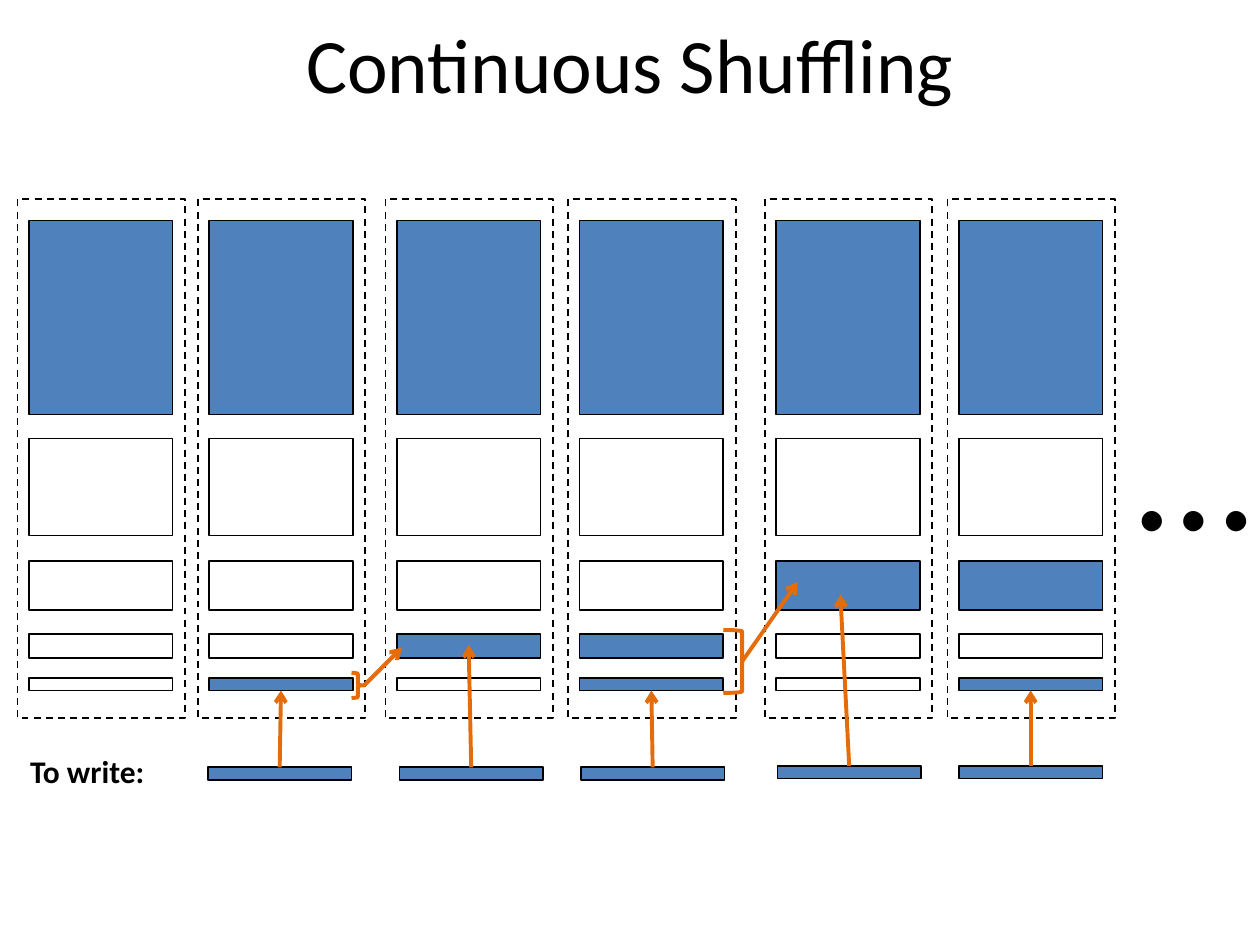
from lxml import etree
from pptx import Presentation
from pptx.dml.color import RGBColor
from pptx.enum.dml import MSO_LINE
from pptx.enum.shapes import MSO_CONNECTOR, MSO_SHAPE
from pptx.enum.text import MSO_ANCHOR, MSO_AUTO_SIZE, PP_ALIGN
from pptx.oxml.ns import qn
from pptx.util import Inches, Pt

BLACK, WHITE, BLUE, ORANGE = "000000", "FFFFFF", "4F81BD", "E46C0A"
TOP, BOTTOM = 0, 2

BLOCK_WIDTH = 1.14
# Top and height of each level, smallest block first
LEVELS = [(5.38, 0.1), (5.03, 0.19), (4.45, 0.39), (3.48, 0.77), (1.75, 1.54)]
# Left edge of each column and the fills of its levels
COLUMNS = [
    (0.14, [None, None, None, None, BLUE]),
    (1.57, [BLUE, None, None, None, BLUE]),
    (3.06, [None, BLUE, None, None, BLUE]),
    (4.51, [BLUE, BLUE, None, None, BLUE]),
    (6.07, [None, WHITE, BLUE, None, BLUE]),
    (7.52, [BLUE, WHITE, BLUE, None, BLUE]),
]
# Left and top of each pending write, for the second column onwards
WRITES = [(1.65, 6.09), (3.17, 6.09), (4.61, 6.09), (6.17, 6.08), (7.61, 6.08)]


def color(hex_value):
    return RGBColor.from_string(hex_value)


def set_all(target, values):
    for name, value in values.items():
        setattr(target, name, value)


class Canvas:
    font_name = "Calibri"

    def __init__(self, slide):
        self.slide = slide

    def style_text(self, frame, text, size, bold, **format_values):
        set_all(frame, format_values)
        paragraph = frame.paragraphs[0]
        paragraph.text = text
        set_all(paragraph.font, {"name": self.font_name, "size": Pt(size), "bold": bold})
        paragraph.font.color.rgb = color(BLACK)
        return paragraph

    def title(self, text, box):
        title = self.slide.shapes.title
        set_all(title, dict(zip(("left", "top", "width", "height"), map(Inches, box))))
        paragraph = self.style_text(title.text_frame, text, 44, False,
                                    vertical_anchor=MSO_ANCHOR.MIDDLE)
        paragraph.alignment = PP_ALIGN.CENTER

    def label(self, text, box, size, bold=False):
        frame = self.slide.shapes.add_textbox(*map(Inches, box)).text_frame
        self.style_text(frame, text, size, bold, word_wrap=False,
                        auto_size=MSO_AUTO_SIZE.SHAPE_TO_FIT_TEXT)

    def group(self):
        return self.slide.shapes.add_group_shape().shapes

    def shape(self, box, fill=None, line=BLACK, width=1, dash=None,
              kind=MSO_SHAPE.RECTANGLE, parent=None):
        parent = self.slide.shapes if parent is None else parent
        shape = parent.add_shape(kind, *map(Inches, box))
        shape.shadow.inherit = False
        if fill:
            shape.fill.solid()
            shape.fill.fore_color.rgb = color(fill)
        else:
            shape.fill.background()
        set_all(shape.line, {"width": Pt(width), "dash_style": dash})
        shape.line.color.rgb = color(line)
        return shape

    def arrow(self, start, end, source=None, target=None, parent=None):
        """Draw an arrow, joined to the top of source and the bottom of target."""
        parent = self.slide.shapes if parent is None else parent
        arrow = parent.add_connector(MSO_CONNECTOR.STRAIGHT, *map(Inches, start + end))
        if source is not None:
            arrow.begin_connect(source, TOP)
        if target is not None:
            arrow.end_connect(target, BOTTOM)
        arrow.line.width = Pt(2.25)
        arrow.line.color.rgb = color(ORANGE)
        line_xml = arrow.line._get_or_add_ln()
        etree.SubElement(line_xml, qn("a:tailEnd"), type="arrow")
        etree.SubElement(arrow._element.spPr, qn("a:effectLst"))

    def column(self, left, fills):
        """Draw a dashed column of levels and return its smallest block."""
        group = self.group()
        self.shape((left, 1.58, 1.33, 4.12), dash=MSO_LINE.DASH, parent=group)
        blocks = [
            self.shape((left + 0.09, top, BLOCK_WIDTH, height), fill, parent=group)
            for (top, height), fill in zip(LEVELS, fills)
        ]
        return blocks[0]

    def merge(self, kind, box, target, write, write_start, write_end):
        """Draw the bracketed levels and the write that move into a larger block."""
        group = self.group()
        left, top, width, height = box
        self.shape(box, line=ORANGE, width=2.25, kind=kind, parent=group)
        self.arrow((left + width, top + height / 2), target, parent=group)
        self.arrow(write_start, write_end, source=write, parent=group)


def main():
    presentation = Presentation()
    presentation.slide_width, presentation.slide_height = Inches(10), Inches(7.5)
    canvas = Canvas(presentation.slides.add_slide(presentation.slide_layouts[5]))

    canvas.title("Continuous Shuffling", (0.5, 0, 9, 1))
    smallest_blocks = [canvas.column(left, fills) for left, fills in COLUMNS]
    canvas.label("…", (8.92, 2.83, 0.57, 0.86), 96)

    writes = [canvas.shape((left, top, BLOCK_WIDTH, 0.1), BLUE) for left, top in WRITES]
    canvas.merge(MSO_SHAPE.RIGHT_BRACE, (2.79, 5.34, 0.1, 0.2), (3.19, 5.14),
                 writes[1], (3.74, 6.09), (3.72, 5.12))
    canvas.merge(MSO_SHAPE.RIGHT_BRACKET, (5.74, 5, 0.15, 0.5), (6.33, 4.62),
                 writes[3], (6.67, 6.08), (6.67, 4.72))
    for write, block in zip(writes[::2], smallest_blocks[1::2]):
        canvas.arrow((0, 0), (0, 0), source=write, target=block)

    canvas.label("To write:", (0.14, 5.92, 1.12, 0.4), 18, bold=True)
    presentation.save("out.pptx")


if __name__ == "__main__":
    main()
